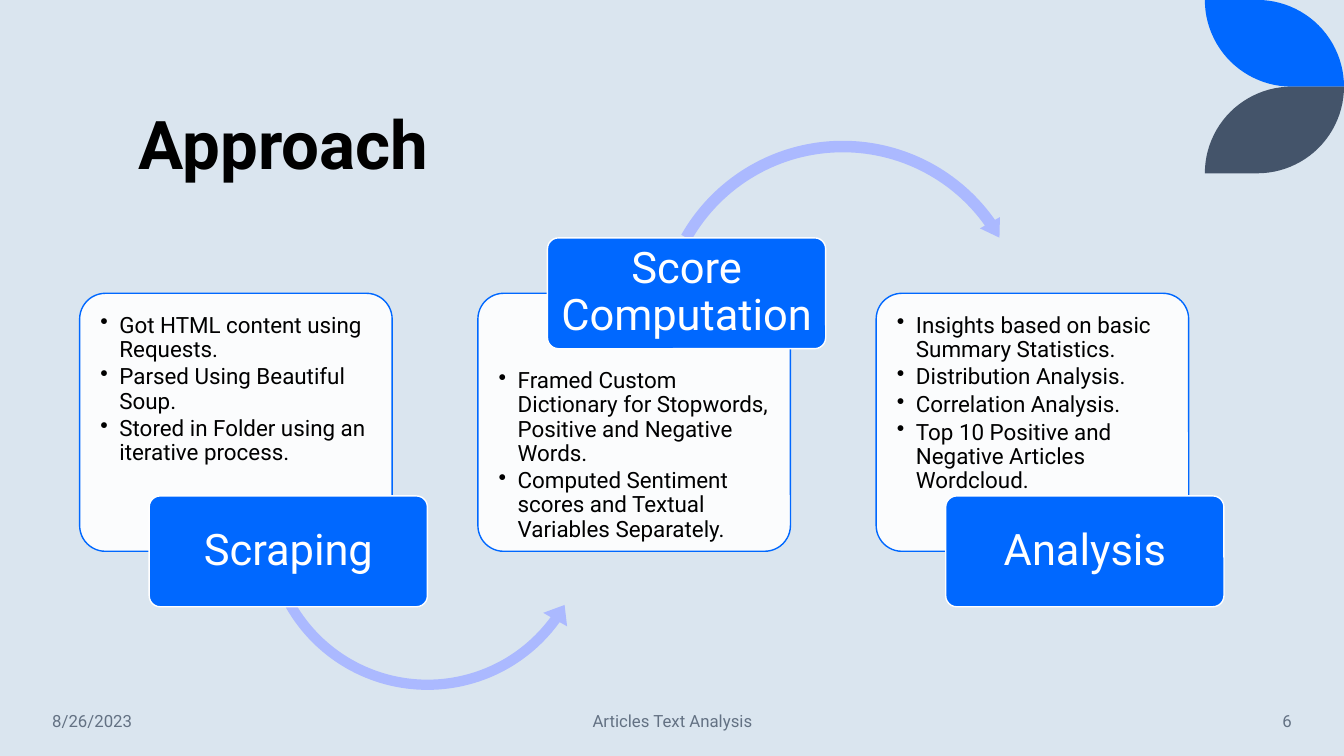
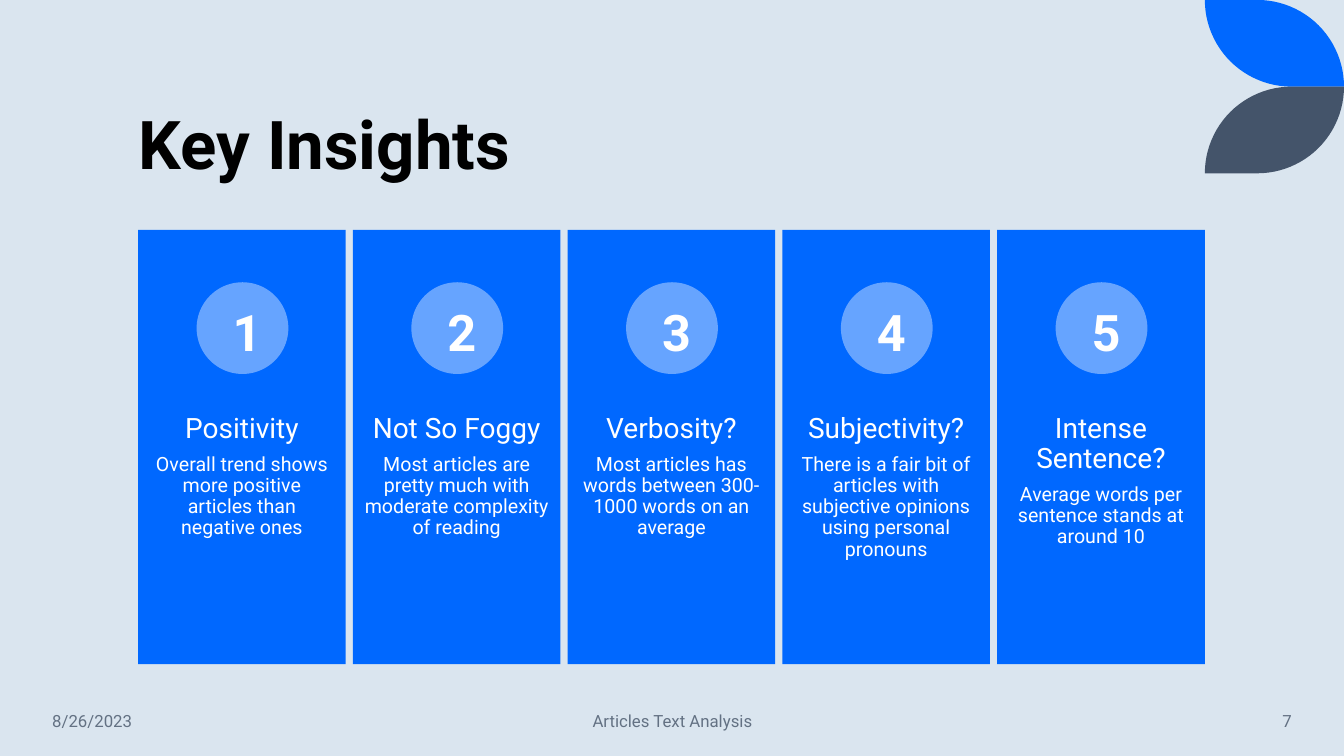
from math import cos, pi, sin

from lxml import etree
from pptx import Presentation
from pptx.dml.color import RGBColor
from pptx.enum.shapes import MSO_SHAPE
from pptx.enum.text import MSO_ANCHOR, PP_ALIGN
from pptx.oxml.ns import qn
from pptx.util import Inches, Pt

LEFT, CENTER, RIGHT = PP_ALIGN.LEFT, PP_ALIGN.CENTER, PP_ALIGN.RIGHT
TOP, MIDDLE, BOTTOM = MSO_ANCHOR.TOP, MSO_ANCHOR.MIDDLE, MSO_ANCHOR.BOTTOM
RECTANGLE, OVAL = MSO_SHAPE.RECTANGLE, MSO_SHAPE.OVAL
ROUNDED = MSO_SHAPE.ROUNDED_RECTANGLE
ARROW_OVER, ARROW_UNDER = MSO_SHAPE.CIRCULAR_ARROW, MSO_SHAPE.LEFT_CIRCULAR_ARROW

FONT = "Roboto"
BACKGROUND, BLUE, SLATE, WHITE, BLACK = "DAE5EF", "0068FF", "44546A", "FFFFFF", "000000"
GREY, PALE_BLUE, LAVENDER = "637183", "66A4FF", "ABB9FF"
TEXT_INSETS = (0.1, 0.05, 0.1, 0.05)


def add_shape(page, kind, place, fill, line=None, adjustments=()):
    shape = page.shapes.add_shape(kind, *map(Inches, place))
    shape.shadow.inherit = False
    shape.fill.solid()
    shape.fill.fore_color.rgb = RGBColor.from_string(fill)
    if line:
        shape.line.color.rgb = RGBColor.from_string(line)
        shape.line.width = Pt(1)
    else:
        shape.line.fill.background()
    for index, value in enumerate(adjustments):
        shape.adjustments[index] = value
    return shape


def write_text(shape, lines, color, align=LEFT, anchor=MIDDLE, insets=TEXT_INSETS,
               bold=False, spacing=1.0, bullet=False):
    """Fill the shape with paragraphs given as (text, size, space after)."""
    frame = shape.text_frame
    frame.word_wrap = True
    frame.vertical_anchor = anchor
    (frame.margin_left, frame.margin_top,
     frame.margin_right, frame.margin_bottom) = map(Inches, insets)
    frame.text = "\n".join(text for text, size, after in lines)
    for paragraph, (text, size, after) in zip(frame.paragraphs, lines):
        paragraph.alignment = align
        paragraph.line_spacing = spacing
        paragraph.space_after = Pt(after)
        font = paragraph.runs[0].font
        font.name, font.size, font.bold = FONT, Pt(size), bold
        font.color.rgb = RGBColor.from_string(color)
        if bullet:
            properties = paragraph._p.get_or_add_pPr()
            properties.set("marL", str(Inches(0.19)))
            properties.set("indent", str(-Inches(0.19)))
            etree.SubElement(properties, qn("a:buChar"), char="•")


deck = Presentation()
deck.slide_width, deck.slide_height = Inches(13.33), Inches(7.5)

# Shared frame: background, two leaves, title and footer
leaf_left, leaf_right, leaf_height = 11.95, 13.33, 0.86
quarter = [pi / 2 * step / 24 for step in range(25)]
leaf = [(leaf_left, 0)]
leaf += [(leaf_right - leaf_height + leaf_height * sin(angle),
          leaf_height - leaf_height * cos(angle)) for angle in quarter]
leaf += [(leaf_left + leaf_height - leaf_height * sin(angle),
          leaf_height * cos(angle)) for angle in quarter]
mirrored_leaf = [(x, 2 * leaf_height - y) for x, y in leaf]

pages = []
for number, title in enumerate(("Approach", "Key Insights"), start=6):
    page = deck.slides.add_slide(deck.slide_layouts[6])
    page.background.fill.solid()
    page.background.fill.fore_color.rgb = RGBColor.from_string(BACKGROUND)
    for outline, color in ((leaf, BLUE), (mirrored_leaf, SLATE)):
        points = [(Inches(x), Inches(y)) for x, y in outline]
        builder = page.shapes.build_freeform(*points[0])
        builder.add_line_segments(points[1:], close=True)
        petal = builder.convert_to_shape()
        petal.shadow.inherit = False
        petal.fill.solid()
        petal.fill.fore_color.rgb = RGBColor.from_string(color)
        petal.line.fill.background()
    box = page.shapes.add_textbox(*map(Inches, (1.28, 0.42, 10.69, 1.45)))
    write_text(box, [(title, 48, 0)], BLACK, anchor=BOTTOM, bold=True, spacing=0.9)
    for text, left, width, align in (("8/26/2023", 0.42, 1.86, LEFT),
                                     ("Articles Text Analysis", 4.42, 4.5, CENTER),
                                     (str(number), 11.1, 1.81, RIGHT)):
        box = page.shapes.add_textbox(*map(Inches, (left, 6.95, width, 0.4)))
        write_text(box, [(text, 12, 0)], GREY, align)
    pages.append(page)
approach, insights = pages

# Approach: three cards linked by curved arrows
steps = [
    ("Scraping", 4.92, 0.13,
     ["Got HTML content using Requests.",
      "Parsed Using Beautiful Soup.",
      "Stored in Folder using an iterative process."],
     (ARROW_UNDER, (2.54, 3.53, 3.4, 3.4), (0.03, 3.8, 21.55, 90.25, 0.04))),
    ("Score Computation", 2.36, 0.68,
     ["Framed Custom Dictionary for Stopwords, Positive and Negative Words.",
      "Computed Sentiment scores and Textual Variables Separately."],
     (ARROW_OVER, (6.46, 1.34, 3.8, 3.8), (0.03, 3.38, 194.87, 125.76, 0.03))),
    ("Analysis", 4.92, 0.13,
     ["Insights based on basic Summary Statistics.",
      "Distribution Analysis.",
      "Correlation Analysis.",
      "Top 10 Positive and Negative Articles Wordcloud."],
     None),
]
for index, (name, label_top, text_top, points, arrow) in enumerate(steps):
    left = 0.79 + 3.95 * index
    card = add_shape(approach, ROUNDED, (left, 2.91, 3.1, 2.56), WHITE, BLUE, [0.1])
    fill_color = card._element.spPr.find(qn("a:solidFill"))[0]
    etree.SubElement(fill_color, qn("a:alpha"), val="90000")
    write_text(card, [(point, 16, 2.4) for point in points], BLACK, anchor=TOP,
               insets=(0.13, text_top, 0.13, 0), spacing=0.9, bullet=True)
    if arrow:
        kind, place, adjustments = arrow
        add_shape(approach, kind, place, LAVENDER, adjustments=adjustments)
    label = add_shape(approach, ROUNDED, (left + 0.69, label_top, 2.76, 1.1),
                      BLUE, WHITE, [0.1])
    write_text(label, [(name, 31, 0)], WHITE, CENTER,
               insets=(0.06, 0.04, 0.06, 0.04), spacing=0.9)

# Key Insights: five numbered panels
findings = [
    ("Positivity", "Overall trend shows more positive articles than negative ones"),
    ("Not So Foggy", "Most articles are pretty much with moderate complexity of reading"),
    ("Verbosity?", "Most articles has words between 300-1000 words on an average"),
    ("Subjectivity?",
     "There is a fair bit of articles with subjective opinions using personal pronouns"),
    ("Intense Sentence?", "Average words per sentence stands at around 10"),
]
for index, (heading, detail) in enumerate(findings):
    left = 1.37 + 2.13 * index
    panel = add_shape(insights, RECTANGLE, (left, 2.28, 2.06, 4.31), BLUE)
    write_text(panel, [(heading, 20, 7), (detail, 14, 0)], WHITE, CENTER, TOP,
               insets=(0.11, 1.83, 0.11, 0.11), spacing=0.9)
    badge = add_shape(insights, OVAL, (left + 0.58, 2.8, 0.91, 0.91), PALE_BLUE)
    write_text(badge, [(str(index + 1), 36, 0)], WHITE, CENTER,
               insets=(0.09, 0.06, 0, 0), bold=True)

deck.save("out.pptx")
